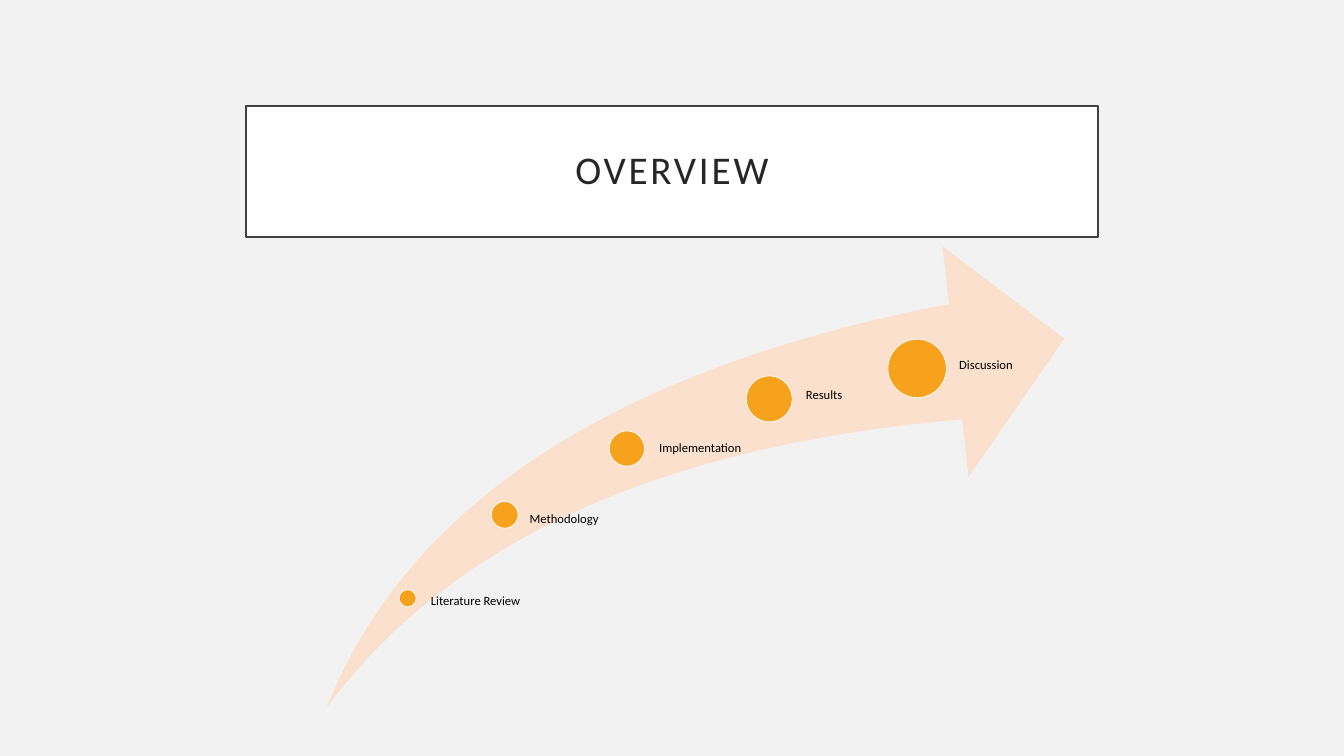
from pptx import Presentation
from pptx.dml.color import RGBColor
from pptx.enum.shapes import MSO_SHAPE
from pptx.enum.text import MSO_ANCHOR, PP_ALIGN
from pptx.util import Inches, Pt

FONT = "Calibri"
STEPS = [
    ("Literature Review", (1.44, 6.81, 0.34), (1.89, 6.91, 4.75, 2.18)),
    ("Methodology", (3.27, 5.06, 0.53), (3.75, 5.28, 4.49, 3.83)),
    ("Implementation", (5.61, 3.66, 0.7), (6.23, 3.88, 5.63, 5.14)),
    ("Results", (8.33, 2.57, 0.91), (9.03, 2.83, 4.58, 6.13)),
    ("Discussion", (11.14, 1.84, 1.16), (11.94, 2.22, 3.81, 6.36)),
]


def paint(fmt, color):
    fmt.solid()
    fmt.fore_color.rgb = RGBColor.from_string(color)


def draw(shapes, kind, box, fill, line=None, width=1):
    shape = shapes.add_shape(kind, *map(Inches, box))
    shape.shadow.inherit = False
    paint(shape.fill, fill)
    if line:
        paint(shape.line.fill, line)
        shape.line.width = Pt(width)
    else:
        shape.line.fill.background()
    return shape


def write(shape, text, size, color, pads, align, anchor):
    frame = shape.text_frame
    frame.word_wrap = True
    frame.vertical_anchor = anchor
    (frame.margin_left, frame.margin_top,
     frame.margin_right, frame.margin_bottom) = map(Inches, pads)
    para = frame.paragraphs[0]
    para.alignment = align
    para.line_spacing = 0.9
    run = para.add_run()
    run.text = text
    run.font.name = FONT
    run.font.size = Pt(size)
    paint(run.font.fill, color)
    return run


def add_title(slide, box):
    panel = draw(slide.shapes, MSO_SHAPE.RECTANGLE, box, "FFFFFF", "404040", 2.5)
    run = write(panel, "OVERVIEW", 56, "262626", [0.2] * 4,
                PP_ALIGN.CENTER, MSO_ANCHOR.MIDDLE)
    run.font._element.set("spc", "400")


def add_path(slide, box):
    left, top = box[:2]
    shapes = slide.shapes.add_group_shape().shapes
    arrow = draw(shapes, MSO_SHAPE.SWOOSH_ARROW, box, "FBE0CD")
    arrow.adjustments[0] = 0.25
    arrow.adjustments[1] = 0.25
    for text, (x, y, size), (tx, ty, wide, high) in STEPS:
        draw(shapes, MSO_SHAPE.OVAL, (left + x, top + y, size, size),
             "F6A21D", "FFFFFF")
        label = shapes.add_textbox(*map(Inches, (left + tx, top + ty, wide, high)))
        write(label, text, 18, "000000", (0.53 * size, 0, 0, 0),
              PP_ALIGN.LEFT, MSO_ANCHOR.TOP)


def main():
    deck = Presentation()
    deck.slide_width = Inches(26.67)
    deck.slide_height = Inches(15)
    slide = deck.slides.add_slide(deck.slide_layouts[6])
    paint(slide.background.fill, "F2F2F2")
    add_title(slide, (4.88, 2.11, 16.91, 2.6))
    add_path(slide, (6.48, 4.89, 14.64, 9.15))
    deck.save("out.pptx")


if __name__ == "__main__":
    main()
